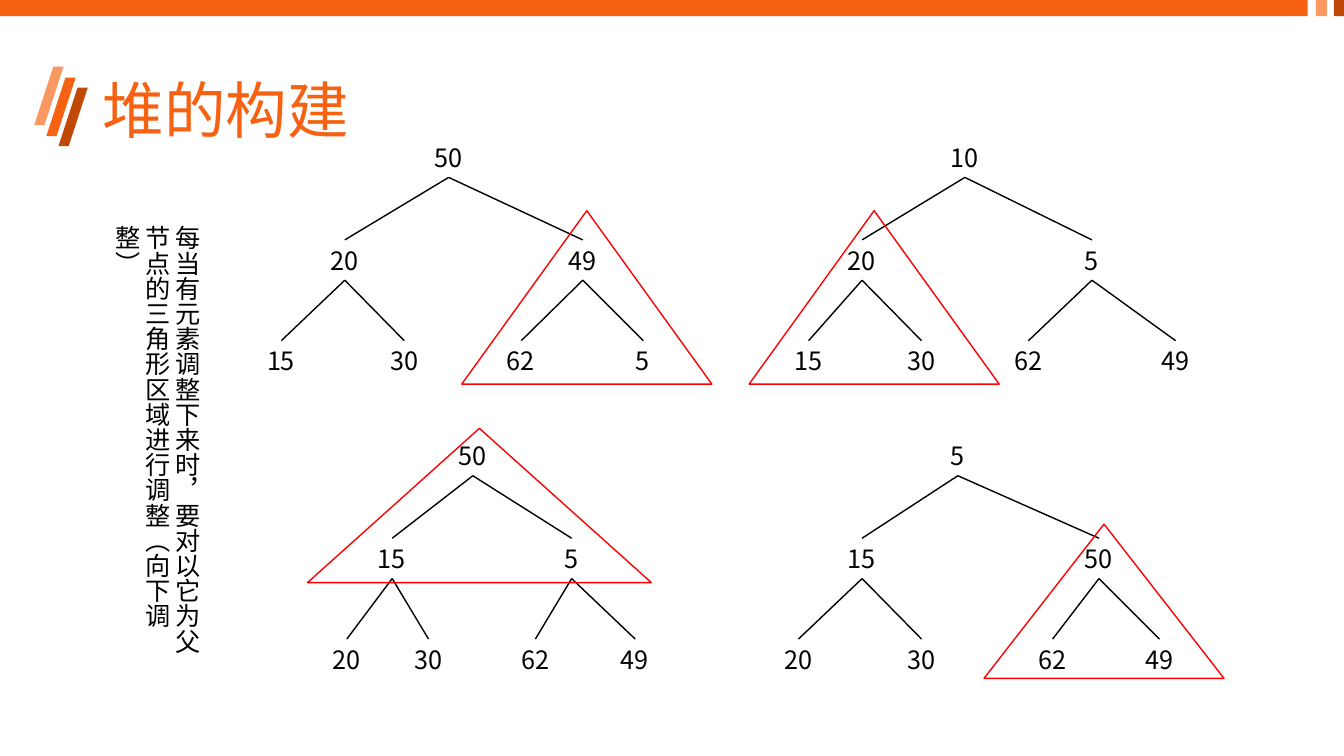
"""Build the slide that shows four heap trees and the triangles being adjusted."""
from lxml import etree
from pptx import Presentation
from pptx.dml.color import RGBColor
from pptx.enum.shapes import MSO_CONNECTOR as Connector, MSO_SHAPE as Shape
from pptx.enum.text import MSO_ANCHOR as Anchor, MSO_AUTO_SIZE as AutoSize
from pptx.oxml.ns import qn
from pptx.util import Inches, Pt

FONT = "Noto Sans CJK SC"
COLOURS = {"orange": "F76212", "light": "FA9862", "dark": "C14907",
           "black": "000000", "red": "FF0000"}

TITLE = "堆的构建"
NOTE = "每当有元素调整下来时，要对以它为父节点的三角形区域进行调整（向下调整）"

STRIPES = [(0.46, 0.77, "orange"), (0.34, 0.66, "light"), (0.58, 0.87, "dark")]
BARS = [(0, 12.97, "orange"), (13.05, 0.11, "light"), (13.23, 0.11, "dark")]

TREES = [
    {"top": 1.36, "triangle": (4.58, 2.09, 2.48, 1.72),
     "nodes": [("50", 4.45), ("20", 3.42), ("49", 5.78),
               ("15", 2.79), ("30", 4.01), ("62", 5.17), ("5", 6.38)]},
    {"top": 1.36, "triangle": (7.43, 2.09, 2.48, 1.72),
     "nodes": [("10", 9.57), ("20", 8.55), ("5", 10.83),
               ("15", 8.02), ("30", 9.14), ("62", 10.2), ("49", 11.66)]},
    {"top": 4.32, "triangle": (3.05, 4.25, 3.41, 1.53),
     "nodes": [("50", 4.69), ("15", 3.89), ("5", 5.67),
               ("20", 3.44), ("30", 4.25), ("62", 5.31), ("49", 6.3)]},
    {"top": 4.32, "triangle": (9.76, 5.2, 2.38, 1.53),
     "nodes": [("5", 9.5), ("15", 8.55), ("50", 10.9),
               ("20", 7.92), ("30", 9.14), ("62", 10.44), ("49", 11.5)]},
]
LEVEL_OFFSETS = (0, 1.02, 2.02)
NODE_WIDTHS = {1: 0.34, 2: 0.48}
NODE_HEIGHT = 0.4


def colour(name):
    return RGBColor.from_string(COLOURS[name])


def add_text(page, text, place, size=18, tint="black", wrap=True):
    box = page.shapes.add_textbox(*map(Inches, place))
    frame = box.text_frame
    frame.word_wrap = wrap
    frame.text = text
    span = frame.paragraphs[0].runs[0]
    span.font.size = Pt(size)
    span.font.name = FONT
    span.font.color.rgb = colour(tint)
    east_asian = etree.SubElement(span.font._element, qn("a:ea"))
    east_asian.set("typeface", FONT)
    return box


def add_shape(page, kind, place, fill=None, line=None):
    shape = page.shapes.add_shape(kind, *map(Inches, place))
    shape.shadow.inherit = False
    if fill:
        shape.fill.solid()
        shape.fill.fore_color.rgb = colour(fill)
    else:
        shape.fill.background()
    if line:
        shape.line.color.rgb = colour(line)
        shape.line.width = Pt(1)
    else:
        shape.line.fill.background()
    return shape


def add_branch(page, parent, child):
    branch = page.shapes.add_connector(Connector.STRAIGHT, 0, 0, 0, 0)
    branch.begin_connect(parent, 2)
    branch.end_connect(child, 0)
    branch.line.color.rgb = colour("black")
    branch.line.width = Pt(1)
    etree.SubElement(branch.element.spPr, qn("a:effectLst"))


def add_tree(page, tree):
    boxes = []
    for index, (value, centre) in enumerate(tree["nodes"]):
        level = (index + 1).bit_length() - 1
        width = NODE_WIDTHS[len(value)]
        place = (centre - width / 2, tree["top"] + LEVEL_OFFSETS[level], width, NODE_HEIGHT)
        box = add_text(page, value, place, wrap=False)
        box.text_frame.auto_size = AutoSize.SHAPE_TO_FIT_TEXT
        boxes.append(box)
    for index in range(1, len(boxes)):
        add_branch(page, boxes[(index - 1) // 2], boxes[index])
    add_shape(page, Shape.ISOSCELES_TRIANGLE, tree["triangle"], line="red")


def main():
    deck = Presentation()
    deck.slide_width, deck.slide_height = Inches(13.33), Inches(7.5)
    page = deck.slides.add_slide(deck.slide_layouts[6])

    for left, top, tint in STRIPES:
        stripe = add_shape(page, Shape.PARALLELOGRAM, (left, top, 0.29, 0.58), fill=tint)
        stripe.adjustments[0] = 0.65
    for left, width, tint in BARS:
        add_shape(page, Shape.RECTANGLE, (left, 0, width, 0.16), fill=tint)

    title = add_text(page, TITLE, (0.92, 0.4, 11.5, 1.45), size=44, tint="orange")
    title.text_frame.vertical_anchor = Anchor.MIDDLE
    title.text_frame.paragraphs[0].line_spacing = 0.9

    for tree in TREES:
        add_tree(page, tree)

    note = add_text(page, NOTE, (1.25, 2.14, 0.81, 4.45))
    note.text_frame.auto_size = AutoSize.SHAPE_TO_FIT_TEXT
    note.element.txBody.bodyPr.set("vert", "eaVert")

    deck.save("out.pptx")


if __name__ == "__main__":
    main()
